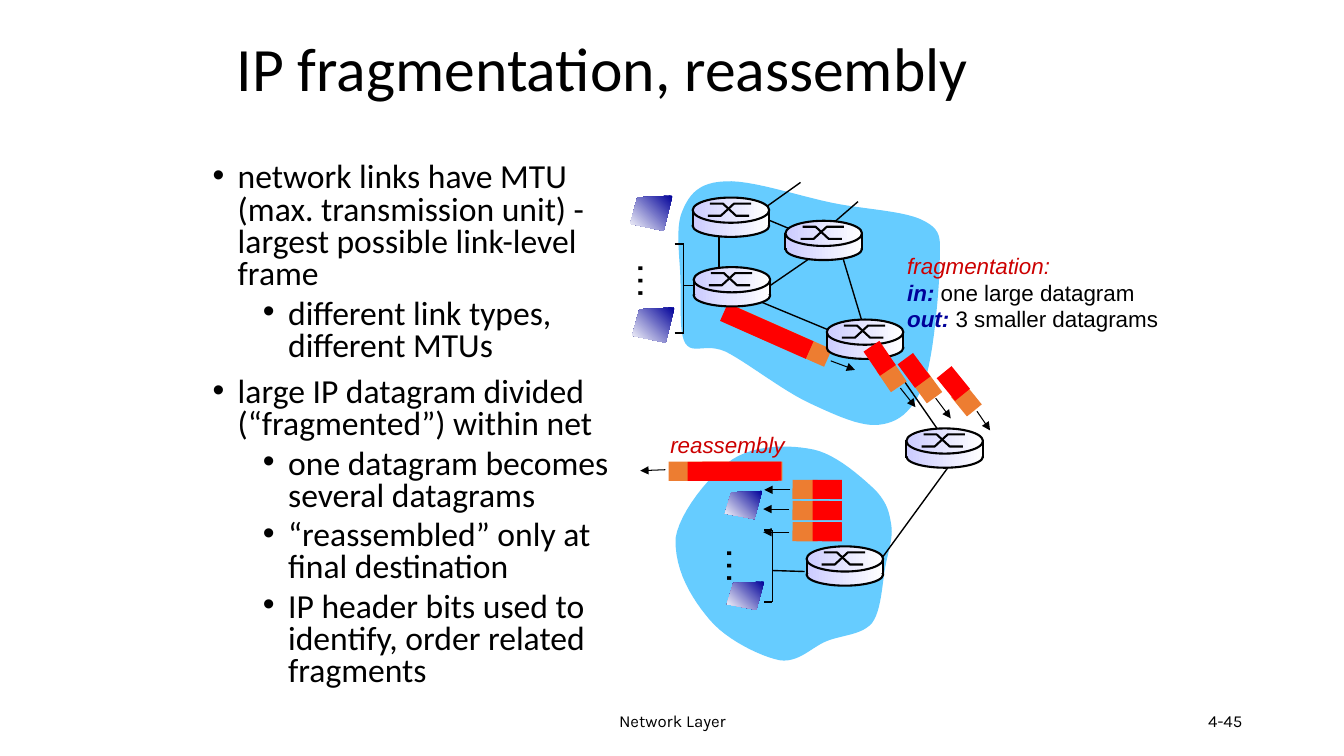
from pptx import Presentation
from pptx.dml.color import RGBColor
from pptx.enum.shapes import MSO_CONNECTOR as CONN, MSO_SHAPE as SHAPE
from pptx.enum.text import MSO_ANCHOR as ANCHOR, PP_ALIGN as ALIGN
from pptx.oxml.ns import qn
from pptx.util import Inches, Pt
from lxml.etree import SubElement


def rgb(value):
    return RGBColor.from_string(value)


def smooth_outline(start, curves, steps=12):
    points = [start]
    for x1, y1, x2, y2, x3, y3 in curves:
        x0, y0 = points[-1]
        for i in range(1, steps + 1):
            t = i / steps
            u = 1 - t
            a, b, c, d = u ** 3, 3 * u * u * t, 3 * u * t * t, t ** 3
            points.append((a * x0 + b * x1 + c * x2 + d * x3,
                           a * y0 + b * y1 + c * y2 + d * y3))
    return points


class NetworkSlide:
    """Draws text and network symbols on one slide in a shared style."""

    BLACK, RED, BLUE, SKY = "000000", "CC0000", "000099", "66CCFF"
    HEADER, PAYLOAD = "ED7D31", "FF0000"
    METAL, SCREEN = ("CCCCFF", "FFFFFF", 0), ("000099", "FFFFFF", 225)

    def __init__(self, prs):
        self.s = prs.slides.add_slide(prs.slide_layouts[6])

    def font(self, r, size, name, color, bold=False, italic=False):
        f = r.font
        f.size, f.name, f.bold, f.italic = Pt(size), name, bold, italic
        f.color.rgb = rgb(color)

    def text(self, box, lines, size, name, color=BLACK, italic=False, wrap=True,
             anchor=ANCHOR.TOP, align=ALIGN.LEFT, spacing=None, rot=0):
        sp = self.s.shapes.add_textbox(*map(Inches, box))
        sp.rotation = rot
        tf = sp.text_frame
        tf.word_wrap, tf.vertical_anchor = wrap, anchor
        tf.text = "\n".join(lines)
        for p in tf.paragraphs:
            p.alignment, p.line_spacing = align, spacing
            for r in p.runs:
                self.font(r, size, name, color, italic=italic)
        return tf

    def bullets(self, box, items):
        tf = self.text(box, [words for _, words in items], 24, "Calibri", spacing=0.8)
        for i, (p, (level, _)) in enumerate(zip(tf.paragraphs, items)):
            p.level = level
            if i:
                p.space_before = Pt(5 if level else 10)
            pPr = p._p.get_or_add_pPr()
            pPr.set("marL", str(Inches(0.25 + 0.5 * level)))
            pPr.set("indent", str(Inches(-0.25)))
            SubElement(pPr, qn("a:buFont")).set("typeface", "Arial")
            SubElement(pPr, qn("a:buChar")).set("char", "•")

    def paint(self, sp, fill=None, width=0):
        sp.shadow.inherit = False
        if fill is None:
            sp.fill.background()
        elif isinstance(fill, tuple):
            sp.fill.gradient()
            sp.fill.gradient_angle = fill[2]
            for stop, color in zip(sp.fill.gradient_stops, fill):
                stop.color.rgb = rgb(color)
        else:
            sp.fill.solid()
            sp.fill.fore_color.rgb = rgb(fill)
        if width:
            sp.line.color.rgb = rgb(self.BLACK)
            sp.line.width = Pt(width)
        else:
            sp.line.fill.background()

    def shape(self, kind, box, fill, width=0, rot=0):
        sp = self.s.shapes.add_shape(kind, *map(Inches, box))
        sp.rotation = rot
        self.paint(sp, fill, width)

    def outline(self, points, fill=None, width=0):
        points = [(Inches(x), Inches(y)) for x, y in points]
        builder = self.s.shapes.build_freeform(*points[0])
        builder.add_line_segments(points[1:], close=fill is not None)
        self.paint(builder.convert_to_shape(), fill, width)

    def line(self, x1, y1, x2, y2, width=1, arrow=False):
        c = self.s.shapes.add_connector(CONN.STRAIGHT, *map(Inches, (x1, y1, x2, y2)))
        c.line.color.rgb = rgb(self.BLACK)
        c.line.width = Pt(width)
        spPr = c._element.spPr
        if arrow:
            SubElement(spPr.find(qn("a:ln")), qn("a:tailEnd")).set("type", "triangle")
        SubElement(spPr, qn("a:effectLst"))

    def packet(self, header, payload, rot, arrow):
        for (x, y, w), color in ((header, self.HEADER), (payload, self.PAYLOAD)):
            self.shape(SHAPE.RECTANGLE, (x, y, w, 0.19), color, rot=rot)
        self.line(*arrow, width=0.75, arrow=True)

    def router(self, x, y):
        self.shape(SHAPE.OVAL, (x, y + 0.17, 0.76, 0.22), self.METAL, 1.5)
        self.shape(SHAPE.RECTANGLE, (x, y + 0.14, 0.76, 0.13), self.METAL)
        self.shape(SHAPE.OVAL, (x, y, 0.76, 0.25), self.METAL, 1.5)
        for left, right, start, end in ((0.15, 0.58, 0.18, 0.06), (0.17, 0.56, 0.06, 0.18)):
            self.outline([(x + left, y + start), (x + left + 0.13, y + start),
                          (x + left + 0.26, y + end), (x + right, y + end)], width=1.5)
        for side in (x, x + 0.76):
            self.line(side, y + 0.12, side, y + 0.29, 1.5)

    def hosts(self, corners, w, h, bracket, dots):
        x1, x2, top, bottom = bracket
        for y in (top, bottom):
            self.line(x1, y, x2, y, 1.5)
        self.line(x2, top, x2, bottom)
        for x, y in corners:
            self.outline([(x + w, y), (x + 0.17 * w, y + 0.05 * h),
                          (x, y + 0.8 * h), (x + 0.79 * w, y + h)], self.SCREEN)
        self.text((*dots, 0.59, 0.57), ["…"], 28, "Arial", wrap=False, rot=90)


def main():
    prs = Presentation()
    prs.slide_width, prs.slide_height = Inches(13.33), Inches(7.5)
    net = NetworkSlide(prs)

    net.text((4.42, 6.95, 4.5, 0.4), ["Network Layer"], 12, "Karla",
             anchor=ANCHOR.MIDDLE, align=ALIGN.CENTER)
    net.text((9.42, 6.95, 3, 0.4), ["4-45"], 12, "Karla",
             anchor=ANCHOR.MIDDLE, align=ALIGN.RIGHT)
    net.text((2.25, 0.2, 8.5, 1.02), ["IP fragmentation, reassembly"], 44, "Calibri",
             anchor=ANCHOR.MIDDLE, spacing=0.9)
    net.bullets((2.01, 1.57, 4.17, 5.57), [
        (0, "network links have MTU (max. transmission unit) - largest possible link-level frame"),
        (1, "different link types, different MTUs"),
        (0, "large IP datagram divided (“fragmented”) within net"),
        (1, "one datagram becomes several datagrams"),
        (1, "“reassembled” only at final destination"),
        (1, "IP header bits used to identify, order related fragments")])

    net.outline(smooth_outline((7.19, 1.8), [
        (6.94, 1.81, 6.84, 1.92, 6.77, 2.09), (6.69, 2.26, 6.75, 2.59, 6.75, 2.81),
        (6.76, 3.03, 6.73, 3.3, 6.8, 3.41), (6.88, 3.52, 7, 3.4, 7.2, 3.49),
        (7.4, 3.59, 7.77, 3.88, 8.03, 4), (8.29, 4.12, 8.56, 4.25, 8.75, 4.21),
        (8.94, 4.18, 9.07, 4.05, 9.17, 3.79), (9.26, 3.53, 9.31, 2.92, 9.32, 2.66),
        (9.32, 2.39, 9.36, 2.3, 9.18, 2.2), (9, 2.09, 8.57, 2.08, 8.24, 2.01),
        (7.91, 1.94, 7.43, 1.78, 7.19, 1.8)]), net.SKY)
    net.outline(smooth_outline((6.7, 5.34), [
        (6.74, 5.08, 7.04, 4.71, 7.26, 4.56), (7.49, 4.41, 7.83, 4.41, 8.07, 4.46),
        (8.3, 4.51, 8.55, 4.74, 8.68, 4.86), (8.8, 4.99, 8.82, 5.08, 8.84, 5.21),
        (8.86, 5.34, 8.81, 5.46, 8.78, 5.63), (8.75, 5.79, 8.74, 6.06, 8.65, 6.18),
        (8.55, 6.3, 8.35, 6.3, 8.2, 6.36), (8.05, 6.42, 7.92, 6.58, 7.73, 6.55),
        (7.54, 6.51, 7.21, 6.35, 7.04, 6.15), (6.87, 5.95, 6.69, 5.67, 6.7, 5.34)]), net.SKY)

    for link in ((6.77, 2.83, 6.91, 2.83), (7.4, 2.09, 8.12, 2.39), (8.33, 2.46, 8.55, 3.19),
                 (7.13, 2.21, 7.13, 2.85), (7.39, 2.93, 8.45, 3.37), (9.3, 4.26, 8.78, 3.51),
                 (8.24, 2.42, 7.41, 2.99), (7.94, 1.81, 7.42, 2.18), (8.51, 2, 8.21, 2.26),
                 (9.43, 4.6, 8.73, 5.56), (7.66, 5.66, 7.98, 5.67)):
        net.line(*link)

    net.packet((7.14, 3.23, 1.12), (7.14, 3.19, 0.93), 23.9, (8.24, 3.58, 8.48, 3.67))
    for y, x1, arrow_y in ((4.76, 7.84, 4.86), (4.97, 7.83, 5.05), (5.18, 7.83, 5.28)):
        net.packet((7.86, y, 0.25), (8.06, y, 0.29), 180.4,
                   (x1, arrow_y, x1 - 0.26, arrow_y))
    net.packet((6.63, 4.58, 1.13), (6.82, 4.58, 0.93), 179.9, (6.6, 4.66, 6.35, 4.67))

    tf = net.text((8.9, 2.45, 2.7, 0.9), ["fragmentation:", "in:", "out:"], 16, "Arial",
                  net.RED, italic=True, wrap=False)
    for p, words in zip(tf.paragraphs[1:], (" one large datagram", " 3 smaller datagrams")):
        net.font(p.runs[0], 16, "Arial", net.BLUE, bold=True, italic=True)
        r = p.add_run()
        r.text = words
        net.font(r, 16, "Arial", net.BLACK)
    net.text((6.55, 4.23, 1.34, 0.37), ["reassembly"], 16, "Arial", net.RED,
             italic=True, wrap=False)

    net.hosts(((6.25, 1.94), (6.27, 3.05)), 0.42, 0.35, (6.69, 6.78, 2.42, 3.3), (6.19, 2.51))
    net.hosts(((7.19, 4.87), (7.21, 5.77)), 0.37, 0.28, (7.58, 7.66, 5.26, 5.97), (7.07, 5.33))
    for x, y in ((8.2, 3.17), (6.87, 1.96), (6.88, 2.65), (7.79, 2.19), (8.99, 4.25), (8, 5.42)):
        net.router(x, y)

    for header, payload, rot, arrow in (
            ((8.72, 3.64, 0.25), (8.58, 3.46, 0.29), 55.8, (8.93, 3.85, 9.08, 4.04)),
            ((9.07, 3.75, 0.25), (8.92, 3.58, 0.29), 53.6, (9.28, 3.95, 9.43, 4.15)),
            ((9.46, 3.88, 0.25), (9.31, 3.71, 0.29), 50.9, (9.69, 4.08, 9.82, 4.27))):
        net.packet(header, payload, rot, arrow)

    prs.save("out.pptx")


if __name__ == "__main__":
    main()
